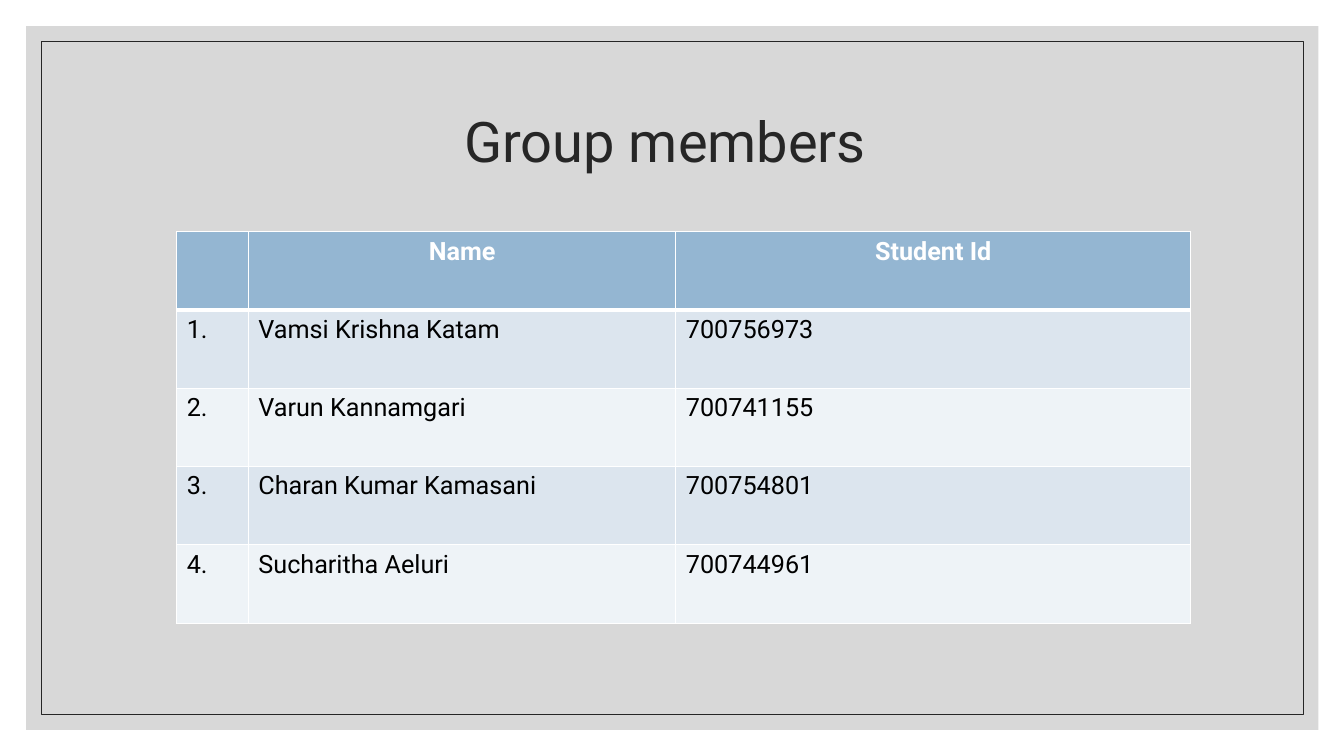
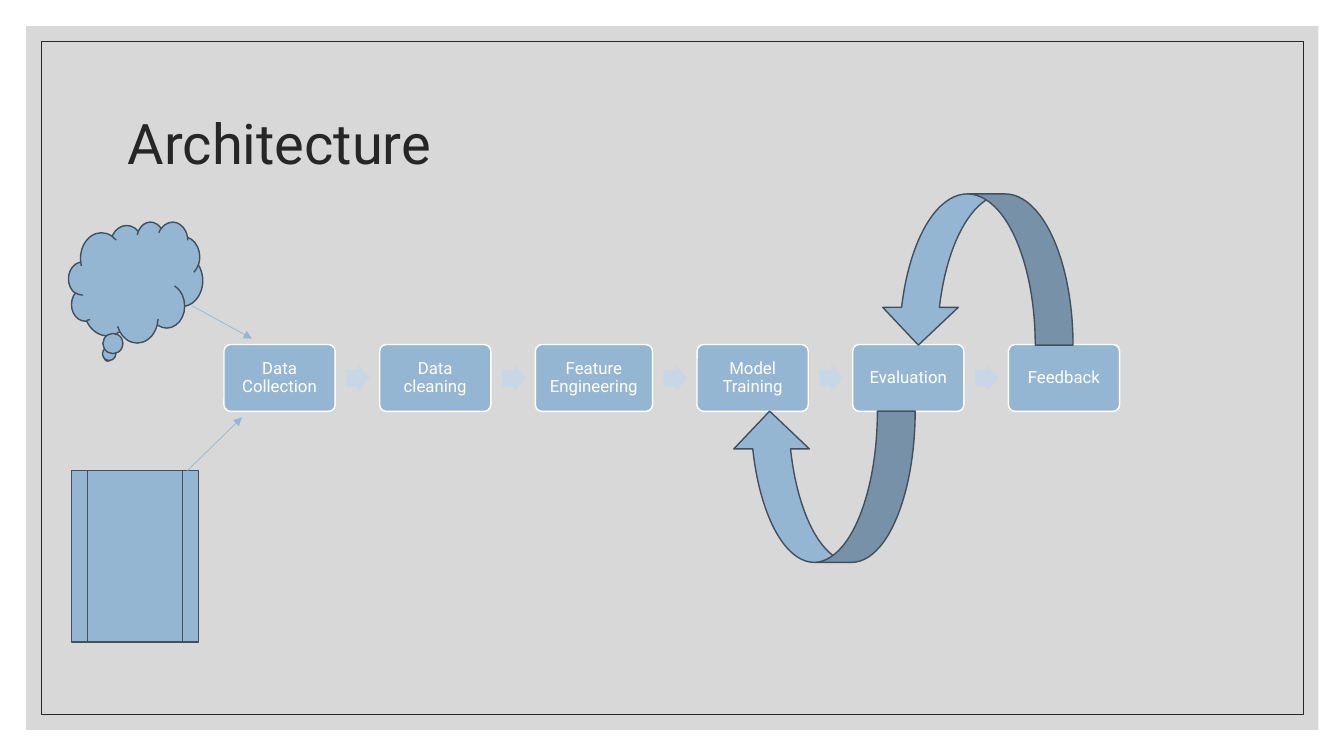
import pptx
import pptx.util
import pptx.oxml
import pptx.oxml.ns
import pptx.dml.color
import pptx.enum.shapes
import pptx.enum.text
import lxml.etree

Pt = pptx.util.Pt
qn = pptx.oxml.ns.qn
SHAPE = pptx.enum.shapes.MSO_SHAPE
ALIGN = pptx.enum.text.PP_ALIGN
ANCHOR = pptx.enum.text.MSO_ANCHOR
FONT = "Roboto"
COLORS = {
    name: pptx.dml.color.RGBColor.from_string(value)
    for name, value in {
        "panel": "BFBFBF", "ink": "262626", "blue": "94B6D2",
        "outline": "41505C", "pale": "C8D7E5", "odd": "DCE5EE",
        "even": "EEF3F7", "white": "FFFFFF", "black": "000000",
    }.items()
}


def add_block(page, kind, left, top, width, height, fill=None, line=None, weight=1):
    block = page.shapes.add_shape(kind, Pt(left), Pt(top), Pt(width), Pt(height))
    block.shadow.inherit = False
    if fill:
        block.fill.solid()
        block.fill.fore_color.rgb = COLORS[fill]
    else:
        block.fill.background()
    if line:
        block.line.color.rgb = COLORS[line]
        block.line.width = Pt(weight)
    else:
        block.line.fill.background()
    return block


def style_text(para, size, color, align=ALIGN.LEFT, bold=False):
    para.font.name = FONT
    para.font.size = Pt(size)
    para.font.bold = bold
    para.font.color.rgb = COLORS[color]
    para.alignment = align


deck = pptx.Presentation()
deck.slide_width, deck.slide_height = Pt(960), Pt(540)
layout = deck.slide_layouts[5]

# Pages and titles: text, left, top, left inset
pages = []
for text, left, top, inset in [
    ("Group members", 36.7, 49, 295),
    ("Architecture", 84.2, 50.4, 7.2),
]:
    page = deck.slides.add_slide(layout)
    title = page.shapes.title
    title.left, title.top, title.width, title.height = Pt(left), Pt(top), Pt(792), Pt(108)
    title.text_frame.text = text
    title.text_frame.margin_left = Pt(inset)
    title.text_frame.vertical_anchor = ANCHOR.MIDDLE
    para = title.text_frame.paragraphs[0]
    style_text(para, 40, "ink")
    para.line_spacing = 0.9
    pages.append(page)
members_page, architecture_page = pages

# Shared frame, moved to the back of the layout
panel = add_block(members_page, SHAPE.RECTANGLE, 18.7, 18.7, 923, 502.6, "panel")
panel_color = panel._element.spPr.find(qn("a:solidFill"))[0]
lxml.etree.SubElement(panel_color, qn("a:alpha"), val="60000")
border = add_block(members_page, SHAPE.RECTANGLE, 29.5, 29.5, 901.4, 481, None, "ink", 0.5)
for index, part in enumerate((panel, border)):
    part._element.nvSpPr.cNvPr.set("id", str(100 + index))
    layout.shapes._spTree.insert(2 + index, part._element)

# Members table
rows = [
    ("", "Name", "Student Id"),
    ("1.", "Vamsi Krishna Katam", "700756973"),
    ("2.", "Varun Kannamgari", "700741155"),
    ("3.", "Charan Kumar Kamasani", "700754801"),
    ("4.", "Sucharitha Aeluri", "700744961"),
]
widths = (51.2, 305.4, 367.8)
table = members_page.shapes.add_table(
    len(rows), len(widths), Pt(126.2), Pt(165.6), Pt(sum(widths)), Pt(279.5)
).table
for column, width in zip(table.columns, widths):
    column.width = Pt(width)
for row_index, row in enumerate(rows):
    header = row_index == 0
    table.rows[row_index].height = Pt(55.9)
    for column_index, text in enumerate(row):
        cell = table.cell(row_index, column_index)
        cell.text = text
        style_text(
            cell.text_frame.paragraphs[0], 18,
            "white" if header else "black",
            ALIGN.CENTER if header else ALIGN.LEFT, header,
        )
        properties = cell._tc.get_or_add_tcPr()
        for side in ("L", "R", "T", "B"):
            thick = (row_index, side) in ((0, "B"), (1, "T"))
            edge = lxml.etree.SubElement(
                properties, qn("a:ln" + side), w=str(Pt(3 if thick else 1))
            )
            edge_fill = lxml.etree.SubElement(edge, qn("a:solidFill"))
            lxml.etree.SubElement(edge_fill, qn("a:srgbClr"), val=str(COLORS["white"]))
        cell.fill.solid()
        cell.fill.fore_color.rgb = COLORS[
            "blue" if header else "odd" if row_index % 2 else "even"
        ]

# Process steps with arrows between them
steps = [
    "Data Collection", "Data cleaning", "Feature Engineering",
    "Model Training", "Evaluation", "Feedback",
]
middle, step_height, gap = 270, 47.8, 31.8
arrow_width, arrow_height = 16.8, 19.7
left = 160
for index, text in enumerate(steps):
    width = 83.7 if text == "Feature Engineering" else 79.4
    step = add_block(architecture_page, SHAPE.ROUNDED_RECTANGLE, left,
                     middle - step_height / 2, width, step_height, "blue", "white")
    step.adjustments[0] = 0.1
    frame = step.text_frame
    frame.text = text
    frame.word_wrap = True
    frame.vertical_anchor = ANCHOR.MIDDLE
    frame.margin_left = frame.margin_right = Pt(5)
    frame.margin_top = frame.margin_bottom = Pt(5)
    style_text(frame.paragraphs[0], 12, "white", ALIGN.CENTER)
    frame.paragraphs[0].line_spacing = 0.9
    left += width + gap
    if index < len(steps) - 1:
        arrow = add_block(architecture_page, SHAPE.RIGHT_ARROW, left - gap + 8,
                          middle - arrow_height / 2, arrow_width, arrow_height, "pale")
        arrow.adjustments[0] = 0.6

# Feedback loops and data sources: kind, box, rotation, vertical flip
for kind, box, rotation, flipped in [
    (SHAPE.CURVED_LEFT_ARROW, (534.2, 282.2, 108, 131), 90, False),
    (SHAPE.CURVED_LEFT_ARROW, (643.7, 123.8, 108, 137.5), 270, True),
    (SHAPE.CLOUD_CALLOUT, (49, 158.4, 95.8, 86.4), 0, False),
    (SHAPE.FLOWCHART_PREDEFINED_PROCESS, (51.1, 336.2, 90.7, 122.4), 0, False),
]:
    block = add_block(architecture_page, kind, *box, "blue", "outline")
    block.rotation = rotation
    if flipped:
        block._element.spPr.find(qn("a:xfrm")).set("flipV", "1")

# Arrows from the sources to the first step
for ends in [(136.8, 218.2, 180, 241.9), (133.9, 336.2, 172.8, 298.1)]:
    link = architecture_page.shapes.add_connector(
        pptx.enum.shapes.MSO_CONNECTOR.STRAIGHT, *map(Pt, ends)
    )
    link.line.color.rgb = COLORS["blue"]
    link.line.width = Pt(0.5)
    properties = link._element.spPr
    lxml.etree.SubElement(properties.find(qn("a:ln")), qn("a:tailEnd"), type="triangle")
    lxml.etree.SubElement(properties, qn("a:effectLst"))

deck.save("out.pptx")
